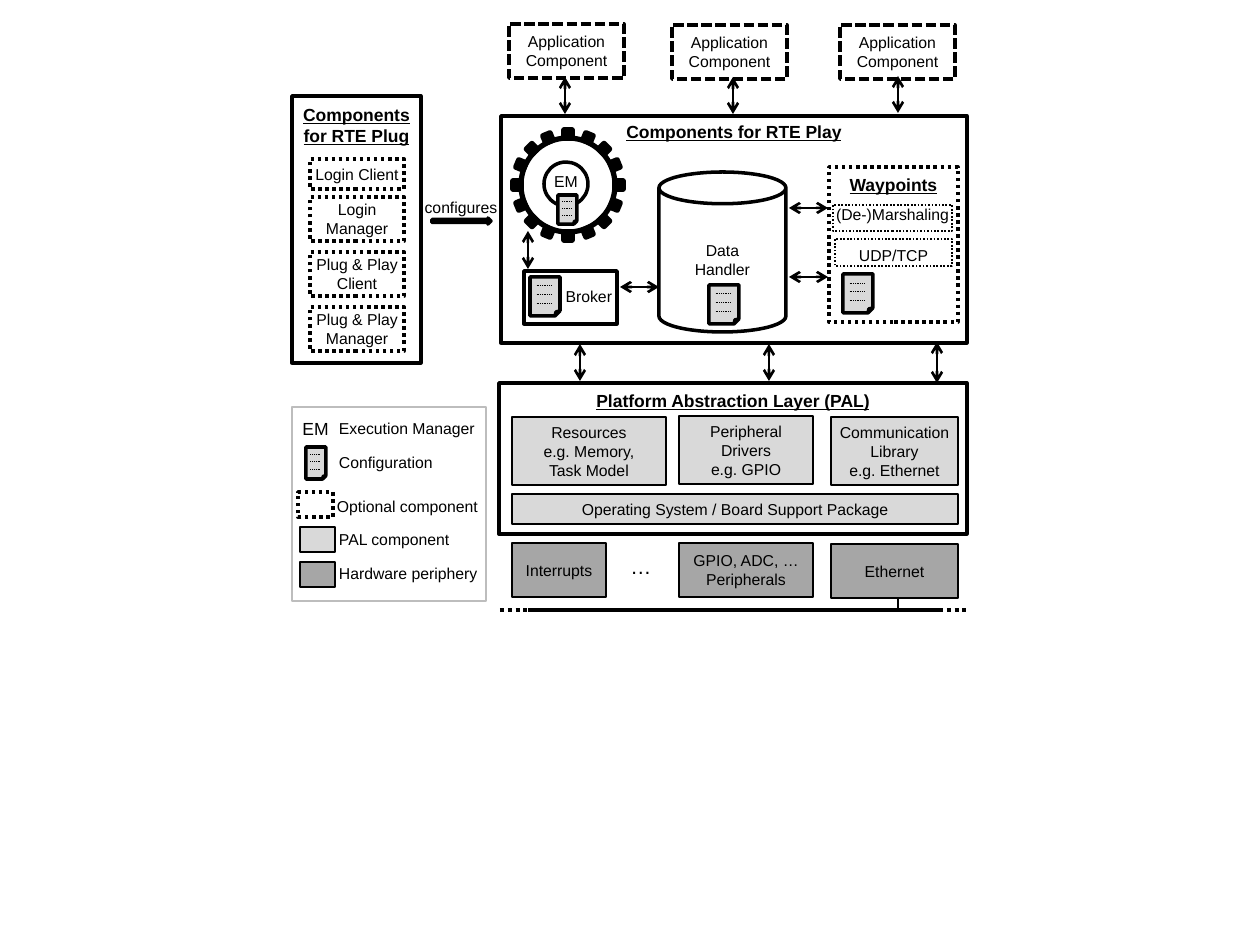
from math import cos, radians, sin
from lxml.etree import SubElement
from pptx import Presentation
from pptx.dml.color import RGBColor
from pptx.enum.dml import MSO_LINE
from pptx.enum.shapes import MSO_CONNECTOR, MSO_SHAPE
from pptx.enum.text import MSO_ANCHOR, PP_ALIGN
from pptx.oxml.ns import qn
from pptx.util import Pt

PX = 914400 // 126
COLORS = {"ink": "000000", "pal": "D9D9D9", "hardware": "A6A6A6", "frame": "BDBDBD"}
DOT, DASH = MSO_LINE.ROUND_DOT, MSO_LINE.SQUARE_DOT  # sysDot and sysDash

prs = Presentation()
prs.slide_width, prs.slide_height = 1260 * PX, 945 * PX
slide = prs.slides.add_slide(prs.slide_layouts[6])


def color(name):
    return RGBColor.from_string(COLORS[name])


def write(shape, text, size=9, heading=False, align=PP_ALIGN.CENTER,
          anchor=MSO_ANCHOR.MIDDLE, inset=(0, 0, 0, 0), wrap=True):
    frame = shape.text_frame
    frame.word_wrap = wrap
    frame.vertical_anchor = anchor
    (frame.margin_left, frame.margin_top,
     frame.margin_right, frame.margin_bottom) = [side * PX for side in inset]
    frame.text = text
    for paragraph in frame.paragraphs:
        paragraph.alignment = align
        font = paragraph.font
        font.name, font.size, font.color.rgb = "Arial", Pt(size), color("ink")
        if heading:
            font.bold = font.underline = True


def block(x, y, w, h, text="", fill=None, line="ink", weight=2, dash=None,
          kind=MSO_SHAPE.RECTANGLE, **text_style):
    shape = slide.shapes.add_shape(kind, x * PX, y * PX, w * PX, h * PX)
    shape.shadow.inherit = False
    if fill:
        shape.fill.solid()
        shape.fill.fore_color.rgb = color(fill)
    else:
        shape.fill.background()
    shape.line.color.rgb = color(line)
    shape.line.width = Pt(weight)
    if dash:
        shape.line.dash_style = dash
    if text:
        write(shape, text, **text_style)
    return shape


def label(x, y, w, h, text, **text_style):
    write(slide.shapes.add_textbox(x * PX, y * PX, w * PX, h * PX), text, **text_style)


def heading(x, y, w, h, text):
    label(x, y, w, h, text, size=10, heading=True, anchor=MSO_ANCHOR.TOP)


def rule(x1, y1, x2, y2, weight=1.5, dash=None, arrows=False):
    connector = slide.shapes.add_connector(
        MSO_CONNECTOR.STRAIGHT, *(round(v * PX) for v in (x1, y1, x2, y2)))
    connector.line.color.rgb = color("ink")
    connector.line.width = Pt(weight)
    if dash:
        connector.line.dash_style = dash
    if arrows:
        for end in ("a:headEnd", "a:tailEnd"):
            SubElement(connector.line._get_or_add_ln(), qn(end), type="arrow")
    SubElement(connector._element.spPr, qn("a:effectLst"))


def arrow(x1, y1, x2, y2):
    rule(x1, y1, x2, y2, arrows=True)


def config_icon(x, y, w=30, h=39):
    block(x, y, w, h, fill="pal", kind=MSO_SHAPE.FOLDED_CORNER)
    for part in (0.23, 0.46, 0.69):
        rule(x + 0.22 * w, y + part * h, x + 0.7 * w, y + part * h, 0.5, DOT)


def application(x, y, arrow_x, arrow_y):
    block(x, y, 115, 54, "Application Component", dash=DASH, inset=(12, 6, 12, 6))
    arrow(arrow_x, arrow_y, arrow_x, arrow_y + 37)


def plug_components(x, y, w, h):
    block(x, y, w, h)
    heading(x, y + 8, w, 57, "Components for RTE Plug")
    parts = [("Login Client", 63, 30), ("Login Manager", 101, 44),
             ("Plug & Play Client", 156, 44), ("Plug & Play Manager", 211, 44)]
    for name, top, height in parts:
        block(x + 18, y + top, 94, height, name, dash=DOT, inset=(5, 5, 5, 5))


def execution_manager(cx, cy):
    block(cx - 47, cy - 47, 94, 94, weight=3, kind=MSO_SHAPE.OVAL)
    for tooth in range(16):
        angle = tooth * 22.5
        tx, ty = cx + 51 * sin(radians(angle)), cy - 51 * cos(radians(angle))
        block(round(tx) - 4, round(ty) - 4, 8, 8, fill="ink", weight=3).rotation = angle
    block(cx - 24, cy - 23, 44, 44, "EM", kind=MSO_SHAPE.OVAL,
          wrap=False, inset=(0, 0, 0, 5))
    config_icon(cx - 10, cy + 10, 19, 29)


def waypoints(x, y, w, h):
    block(x, y, w, h, dash=DOT)
    heading(x, y + 7, w, 20, "Waypoints")
    block(x + 4, y + 38, 119, 26, "(De-)Marshaling", weight=1, dash=DOT,
          anchor=MSO_ANCHOR.TOP)
    block(x + 6, y + 72, 117, 27, "UDP/TCP", weight=1, dash=DOT, inset=(5, 5, 5, 0))
    config_icon(x + 14, y + 107)


def play_components(x, y, w, h):
    block(x, y, w, h)
    heading(x, y + 5, w, 24, "Components for RTE Play")
    execution_manager(x + 67, y + 69)
    # Broker
    block(x + 23, y + 155, 93, 53, "Broker", align=PP_ALIGN.RIGHT, inset=(0, 0, 5, 2))
    config_icon(x + 29, y + 161)
    # Data handler
    block(x + 158, y + 56, 127, 160, "Data\vHandler", kind=MSO_SHAPE.CAN)
    config_icon(x + 208, y + 169)
    waypoints(x + 328, y + 51, 129, 155)
    # Links between the parts
    arrow(x + 27, y + 115, x + 27, y + 153)
    arrow(x + 119, y + 171, x + 158, y + 171)
    for link_y in (92, 161):
        arrow(x + 288, y + link_y, x + 327, y + link_y)
    # Links down to the platform layer
    for link_x, top, bottom in ((79, 228, 265), (268, 228, 265), (436, 226, 267)):
        arrow(x + link_x, y + top, x + link_x, y + bottom)


def platform_layer(x, y, w, h):
    block(x, y, w, h)
    heading(x, y + 7, w, 24, "Platform Abstraction Layer (PAL)")
    parts = [("Resources\ve.g. Memory,\vTask Model", 13, 34, 154),
             ("Peripheral Drivers\ve.g. GPIO", 180, 33, 134),
             ("Communication Library\ve.g. Ethernet", 332, 34, 127)]
    for name, left, top, width in parts:
        block(x + left, y + top, width, 68, name, fill="pal", weight=1,
              inset=(5, 5, 5, 5))
    block(x + 13, y + 111, 446, 30, "Operating System / Board Support Package",
          fill="pal", weight=1)


def hardware(x, y):
    parts = [("Interrupts", 12, 0, 94), ("GPIO, ADC, … Peripherals", 179, 0, 134),
             ("Ethernet", 331, 1, 127)]
    for name, left, top, width in parts:
        block(x + left, y + top, width, 54, name, fill="hardware", weight=1,
              inset=(12, 6, 12, 6))
    label(x + 90, y + 4, 102, 38, "…", size=12)
    # Bus line with open ends
    rule(x + 398, y + 55, x + 398, y + 67)
    for left, right, dash in ((0, 30, DOT), (28, 441, None), (439, 469, DOT)):
        rule(x + left, y + 67, x + right, y + 67, 2.25, dash)


def legend(x, y, w, h):
    block(x, y, w, h, line="frame", weight=1.5)
    label(x + 5, y + 9, 37, 25, "EM", size=10)
    config_icon(x + 14, y + 40, 20, 32)
    for left, top, fill, weight, dash in ((6, 85, None, 2, DOT), (8, 120, "pal", 1, None),
                                         (8, 155, "hardware", 1, None)):
        block(x + left, y + top, 35, 25, fill=fill, weight=weight, dash=dash)
    for name, left, top in (("Execution Manager", 47, 12), ("Configuration", 47, 46),
                            ("Optional component", 45, 90), ("PAL component", 47, 123),
                            ("Hardware periphery", 47, 157)):
        label(x + left, y + top, 150, 19, name, align=PP_ALIGN.LEFT, wrap=False)


for place in ((509, 24, 565, 77), (672, 25, 733, 77), (840, 25, 898, 76)):
    application(*place)
plug_components(292, 96, 129, 267)
play_components(501, 116, 466, 227)
platform_layer(499, 383, 468, 151)
hardware(500, 543)
legend(292, 407, 194, 194)

# Plug configures play
block(432, 218, 59, 6, fill="ink", kind=MSO_SHAPE.RIGHT_ARROW)
label(424, 198, 74, 19, "configures", wrap=False)

prs.save("out.pptx")
